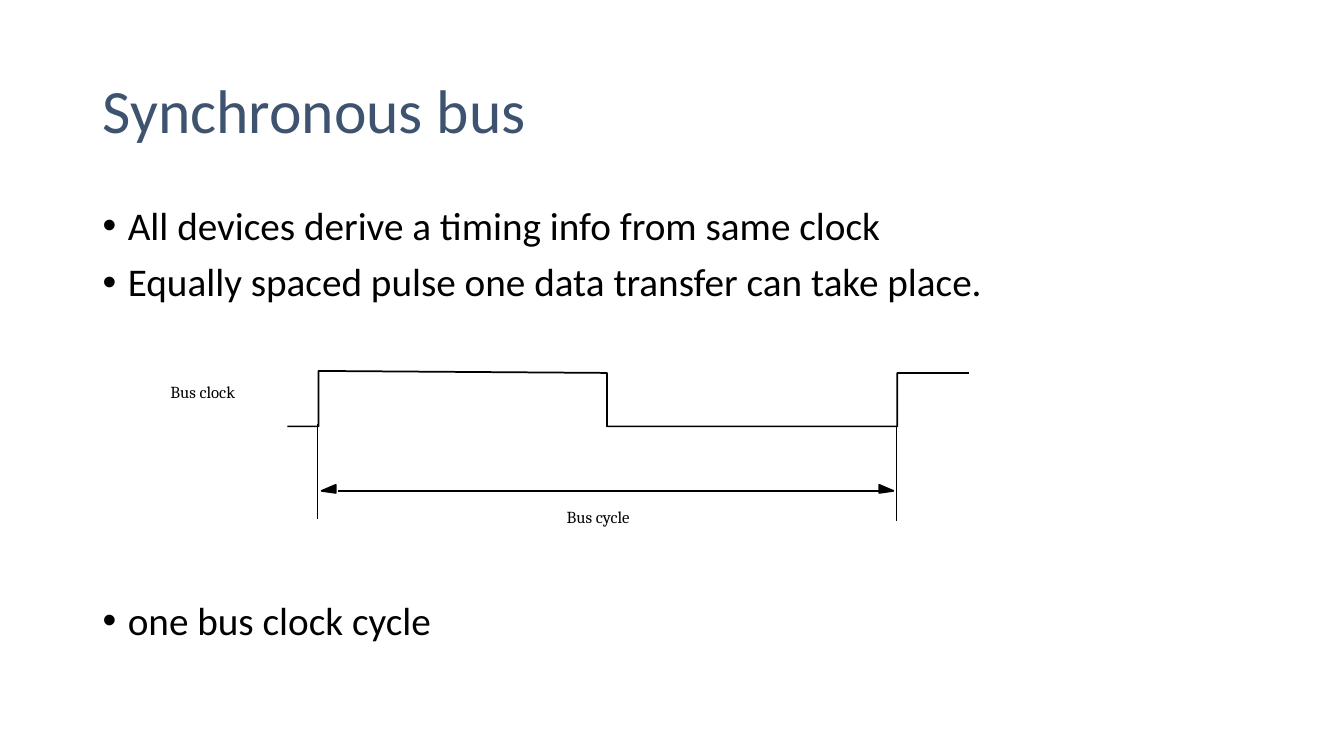
from lxml import etree
from pptx import Presentation
from pptx.dml.color import RGBColor
from pptx.enum.shapes import MSO_CONNECTOR
from pptx.enum.text import MSO_ANCHOR
from pptx.oxml.ns import qn
from pptx.util import Inches, Pt

STRAIGHT = MSO_CONNECTOR.STRAIGHT
TOP, MIDDLE = MSO_ANCHOR.TOP, MSO_ANCHOR.MIDDLE
BLACK = RGBColor(0x00, 0x00, 0x00)
SLATE = RGBColor(0x3E, 0x53, 0x70)

TITLE = {"name": "Calibri", "size": Pt(44), "color": SLATE}
BODY = {"name": "Calibri", "size": Pt(28), "color": BLACK}
LABEL = {"name": "Cambria", "size": Pt(12), "color": BLACK}

# Text and space before it in points; the last bullet sits below the diagram
BULLETS = [
    ("All devices derive a timing info from same clock", 0),
    ("Equally spaced pulse one data transfer can take place.", 10),
    ("one bus clock cycle", 211.5),
]
HIGH, LOW = 3.7, 4.23
RISE_1, FALL, RISE_2 = 3.16, 6.02, 8.9
CLOCK_WAVE = [
    (9.61, HIGH), (RISE_2, HIGH), (RISE_2, LOW), (FALL, LOW),
    (FALL, HIGH), (RISE_1, 3.68), (RISE_1, LOW), (2.85, LOW),
]
CYCLE_Y = 4.87


class SlideBuilder:
    def __init__(self, slide):
        self.s = slide

    def text(self, text, box, style, anchor=TOP, spacing=1.0, inset=True):
        tf = self.s.shapes.add_textbox(*map(Inches, box)).text_frame
        tf.word_wrap = True
        tf.vertical_anchor = anchor
        if not inset:
            for side in ("left", "top", "right", "bottom"):
                setattr(tf, f"margin_{side}", 0)
        self.fill_paragraph(tf.paragraphs[0], text, style, spacing)
        return tf

    def fill_paragraph(self, p, text, style, spacing):
        p.line_spacing = spacing
        r = p.add_run()
        r.text = text
        for key, value in style.items():
            if key == "color":
                r.font.color.rgb = value
            else:
                setattr(r.font, key, value)

    def bullets(self, items, box, style):
        tf = self.text(items[0][0], box, style, spacing=0.9)
        for text, _ in items[1:]:
            self.fill_paragraph(tf.add_paragraph(), text, style, 0.9)
        for p, (_, before) in zip(tf.paragraphs, items):
            p.space_before = Pt(before)
            pPr = p._p.get_or_add_pPr()
            pPr.set("marL", str(Inches(0.25)))
            pPr.set("indent", str(Inches(-0.25)))
            etree.SubElement(pPr, qn("a:buFont")).set("typeface", "Arial")
            etree.SubElement(pPr, qn("a:buChar")).set("char", "•")

    def outline(self, points, closed=False):
        """Draw a black polyline, filled when closed."""
        points = [(Inches(x), Inches(y)) for x, y in points]
        builder = self.s.shapes.build_freeform(*points[0])
        builder.add_line_segments(points[1:], close=closed)
        sp = builder.convert_to_shape()
        sp.shadow.inherit = False
        if closed:
            sp.fill.solid()
            sp.fill.fore_color.rgb = BLACK
        else:
            sp.fill.background()
        sp.line.color.rgb = BLACK
        sp.line.width = Pt(1.25)

    def line(self, start, end, width):
        ends = map(Inches, start + end)
        cxn = self.s.shapes.add_connector(STRAIGHT, *ends)
        cxn.line.color.rgb = BLACK
        cxn.line.width = Pt(width)
        etree.SubElement(cxn._element.spPr, qn("a:effectLst"))


def main():
    prs = Presentation()
    prs.slide_width, prs.slide_height = Inches(13.33), Inches(7.5)
    b = SlideBuilder(prs.slides.add_slide(prs.slide_layouts[6]))

    b.text("Synchronous bus", (0.92, 0.4, 11.5, 1.45), TITLE, MIDDLE, 0.9)
    b.bullets(BULLETS, (0.92, 2, 11.5, 4.76), BODY)

    b.text("Bus clock", (1.69, 3.79, 0.89, 0.31), LABEL, inset=False)
    b.outline(CLOCK_WAVE)
    b.line((3.15, 4.21), (3.15, 5.15), 1)
    b.line((8.89, 4.23), (8.89, 5.17), 1)

    b.text("Bus cycle", (5.62, 5.03, 0.88, 0.31), LABEL, inset=False)
    for base, tip in ((3.33, 3.19), (8.72, 8.86)):
        b.outline([(base, 4.81), (tip, CYCLE_Y), (base, 4.89)], closed=True)
    b.line((8.72, CYCLE_Y), (3.35, CYCLE_Y), 1.25)

    prs.save("out.pptx")


if __name__ == "__main__":
    main()
